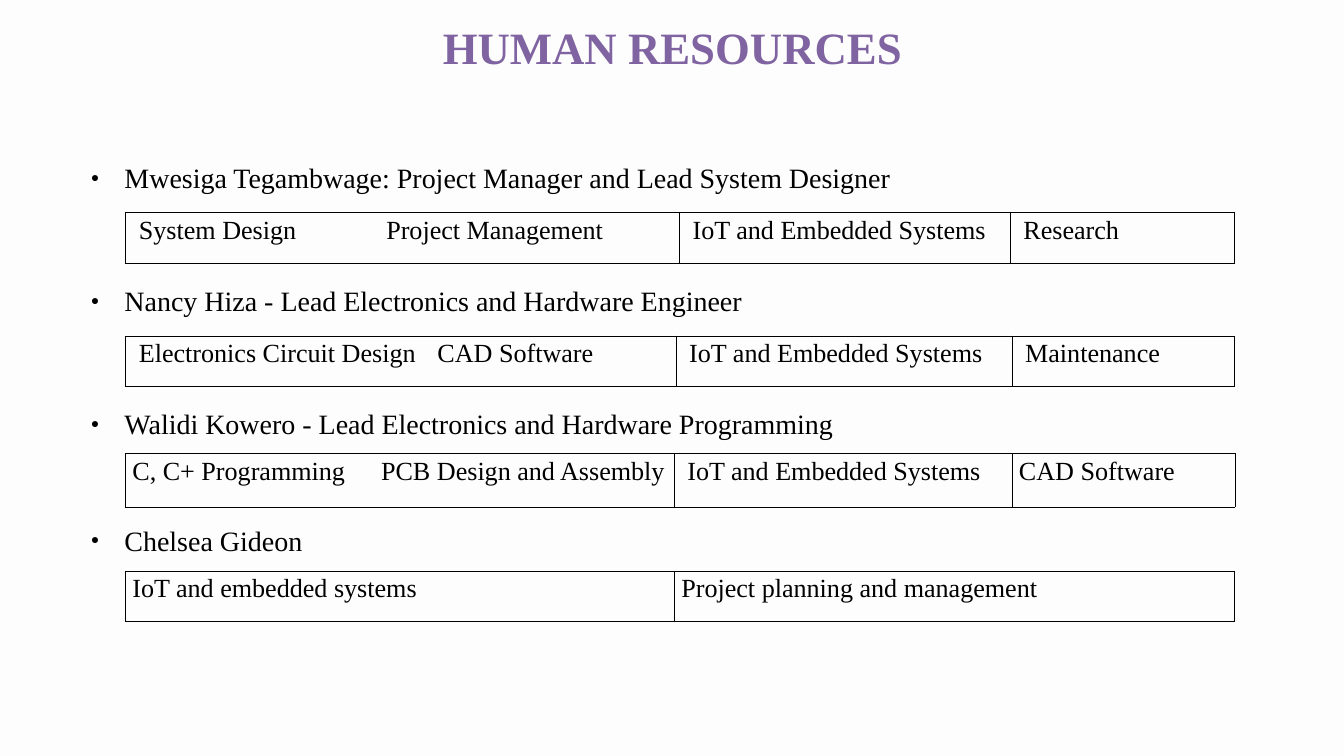
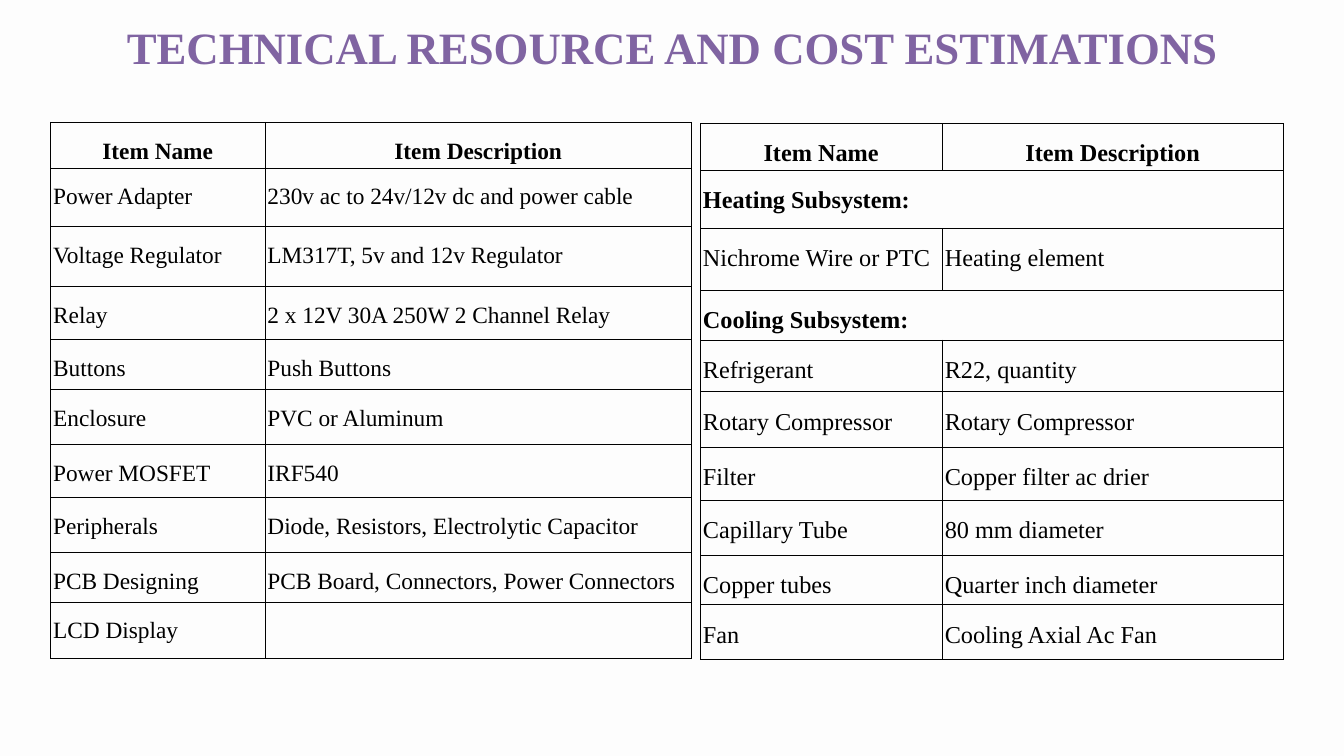
from lxml import etree
from pptx import Presentation
from pptx.dml.color import RGBColor
from pptx.enum import text
from pptx.oxml import ns
from pptx.util import Cm, Pt

PURPLE = RGBColor(0x80, 0x64, 0xA2)
BLACK = RGBColor(0, 0, 0)
PAPER = RGBColor(0xFD, 0xFD, 0xFD)
FONT = "Times New Roman"
LEFT, CENTER, JUSTIFY = (
    text.PP_ALIGN.LEFT, text.PP_ALIGN.CENTER, text.PP_ALIGN.JUSTIFY)
SIDES = ("lnL", "lnR", "lnT", "lnB")

SKILLS_LEFT = 4.75
TEAM = [
    {"member": "Mwesiga Tegambwage: Project Manager and Lead System Designer",
     "skills": [" System Design", " Project Management",
                " IoT and Embedded Systems", " Research"],
     "top": 8.03, "height": 1.93, "widths": [9.35, 11.58, 12.5, 8.46],
     "gap": 75.7},
    {"member": "Nancy Hiza - Lead Electronics and Hardware Engineer",
     "skills": [" Electronics Circuit Design", "CAD Software",
                " IoT and Embedded Systems", " Maintenance"],
     "top": 12.7, "height": 1.91, "widths": [11.53, 9.27, 12.7, 8.41],
     "gap": 75.7},
    {"member": "Walidi Kowero - Lead Electronics and Hardware Programming",
     "skills": ["C, C+ Programming", "PCB Design and Assembly",
                " IoT and Embedded Systems", "CAD Software"],
     "top": 17.15, "height": 2.01, "widths": [9.4, 11.33, 12.78, 8.41],
     "gap": 68.4},
    {"member": "Chelsea Gideon",
     "skills": ["IoT and embedded systems", "Project planning and management"],
     "top": 21.59, "height": 1.91, "widths": [20.75, 21.16], "gap": 0},
]

HEADINGS = ("Item Name", "Item Description")
ELECTRONICS = {
    "left": 1.91, "top": 4.62, "widths": [8.1, 16.13], "size": 25,
    "heights": [1.73, 2.21, 2.26, 2.01, 1.88, 2.08, 2.01, 2.08, 1.88, 2.13],
    "items": [
        HEADINGS,
        ("Power Adapter", "230v ac to 24v/12v dc and power cable"),
        ("Voltage Regulator", "LM317T, 5v and 12v Regulator"),
        ("Relay", "2 x 12V 30A 250W 2 Channel Relay"),
        ("Buttons", "Push Buttons"),
        ("Enclosure", "PVC or Aluminum"),
        ("Power MOSFET", "IRF540"),
        ("Peripherals", "Diode, Resistors, Electrolytic Capacitor"),
        ("PCB Designing", "PCB Board, Connectors, Power Connectors"),
        ("LCD Display", ""),
    ],
}
SUBSYSTEMS = {
    "left": 26.47, "top": 4.67, "widths": [9.14, 12.9], "size": 26,
    "heights": [1.73, 2.18, 2.34, 1.88, 1.96, 2.08, 2.01, 2.08, 1.88, 2.08],
    "items": [
        HEADINGS,
        ("Heating Subsystem:",),
        ("Nichrome Wire or PTC", "Heating element"),
        ("Cooling Subsystem:",),
        ("Refrigerant", "R22, quantity"),
        ("Rotary Compressor", "Rotary Compressor"),
        ("Filter", "Copper filter ac drier"),
        ("Capillary Tube", "80 mm diameter"),
        ("Copper tubes", "Quarter inch diameter"),
        ("Fan", "Cooling Axial Ac Fan"),
    ],
}


def write(paragraph, words, size, color=BLACK, bold=False, align=LEFT, spacing=None):
    paragraph.alignment = align
    paragraph.line_spacing = spacing
    run = paragraph.add_run()
    run.text = words
    run.font.name = FONT
    run.font.size = Pt(size)
    run.font.bold = bold
    run.font.color.rgb = color


def place(shape, left, top, width, height):
    shape.left, shape.top = Cm(left), Cm(top)
    shape.width, shape.height = Cm(width), Cm(height)


def add_titled_slide(deck, layout, heading):
    slide = deck.slides.add_slide(deck.slide_layouts.get_by_name(layout))
    title = slide.shapes.title
    place(title, 2.16, 1.37, 46.51, 1.4)
    frame = title.text_frame
    frame.auto_size = text.MSO_AUTO_SIZE.NONE
    frame.margin_left = frame.margin_right = 0
    frame.margin_top = frame.margin_bottom = 0
    write(frame.paragraphs[0], heading, 48, PURPLE, True, CENTER, Pt(39.8))
    return slide


def sub(parent, tag, **attributes):
    return etree.SubElement(parent, ns.qn(tag), attributes)


def add_bullet(paragraph):
    props = paragraph._p.get_or_add_pPr()
    props.set("marL", str(Cm(1.27)))
    props.set("indent", str(-Cm(1.27)))
    sub(sub(props, "a:buClr"), "a:srgbClr", val=str(BLACK))
    sub(props, "a:buSzPct", val="50000")
    sub(props, "a:buChar", char="●")


def outline(cell, hidden=()):
    props = cell._tc.get_or_add_tcPr()
    for side in SIDES:
        line = sub(props, f"a:{side}", w=str(Pt(0.57)))
        if side in hidden:
            sub(line, "a:noFill")
        else:
            sub(sub(line, "a:solidFill"), "a:srgbClr", val=str(BLACK))
    cell.fill.background()


def add_grid(slide, left, top, widths, heights):
    grid = slide.shapes.add_table(
        len(heights), len(widths), Cm(left), Cm(top),
        Cm(sum(widths)), Cm(sum(heights))).table
    grid.first_row = grid.horz_banding = False
    for column, width in zip(grid.columns, widths):
        column.width = Cm(width)
    for row, height in zip(grid.rows, heights):
        row.height = Cm(height)
    return grid


def add_skills(slide, person):
    grid = add_grid(slide, SKILLS_LEFT, person["top"], person["widths"],
                    [person["height"]])
    open_sides = {0: ("lnR",), 1: ("lnL",)} if len(person["skills"]) > 2 else {}
    for column, skill in enumerate(person["skills"]):
        cell = grid.cell(0, column)
        outline(cell, open_sides.get(column, ()))
        write(cell.text_frame.paragraphs[0], skill, 28)


def add_items(slide, group):
    grid = add_grid(slide, group["left"], group["top"], group["widths"],
                    group["heights"])
    for row, item in enumerate(group["items"]):
        is_section = len(item) == 1
        if is_section:
            grid.cell(row, 0).merge(grid.cell(row, 1))
        for column in range(len(group["widths"])):
            cell = grid.cell(row, column)
            cell.margin_left = cell.margin_right = Cm(0.1)
            outline(cell)
        for column, words in enumerate(item):
            if words:
                write(grid.cell(row, column).text_frame.paragraphs[0], words,
                      group["size"], bold=is_section or item is HEADINGS,
                      align=CENTER if item is HEADINGS else JUSTIFY, spacing=1.5)


def build_human_resources(deck):
    slide = add_titled_slide(deck, "Title and Content", "HUMAN RESOURCES")
    members = slide.placeholders[1]
    place(members, 3.18, 5.31, 44.45, 17.96)
    frame = members.text_frame
    frame.auto_size = text.MSO_AUTO_SIZE.NONE
    for index, person in enumerate(TEAM):
        paragraph = frame.add_paragraph() if index else frame.paragraphs[0]
        write(paragraph, person["member"], 30, align=JUSTIFY, spacing=1.5)
        paragraph.space_before = Pt(2.2)
        paragraph.space_after = Pt(person["gap"])
        add_bullet(paragraph)
        add_skills(slide, person)


def build_technical_resources(deck):
    slide = add_titled_slide(deck, "Title Only",
                             "TECHNICAL RESOURCE AND COST ESTIMATIONS")
    for group in (ELECTRONICS, SUBSYSTEMS):
        add_items(slide, group)


def main():
    deck = Presentation()
    deck.slide_width, deck.slide_height = Cm(50.8), Cm(28.58)
    backdrop = deck.slide_master.background.fill
    backdrop.solid()
    backdrop.fore_color.rgb = PAPER
    build_human_resources(deck)
    build_technical_resources(deck)
    deck.save("out.pptx")


if __name__ == "__main__":
    main()
